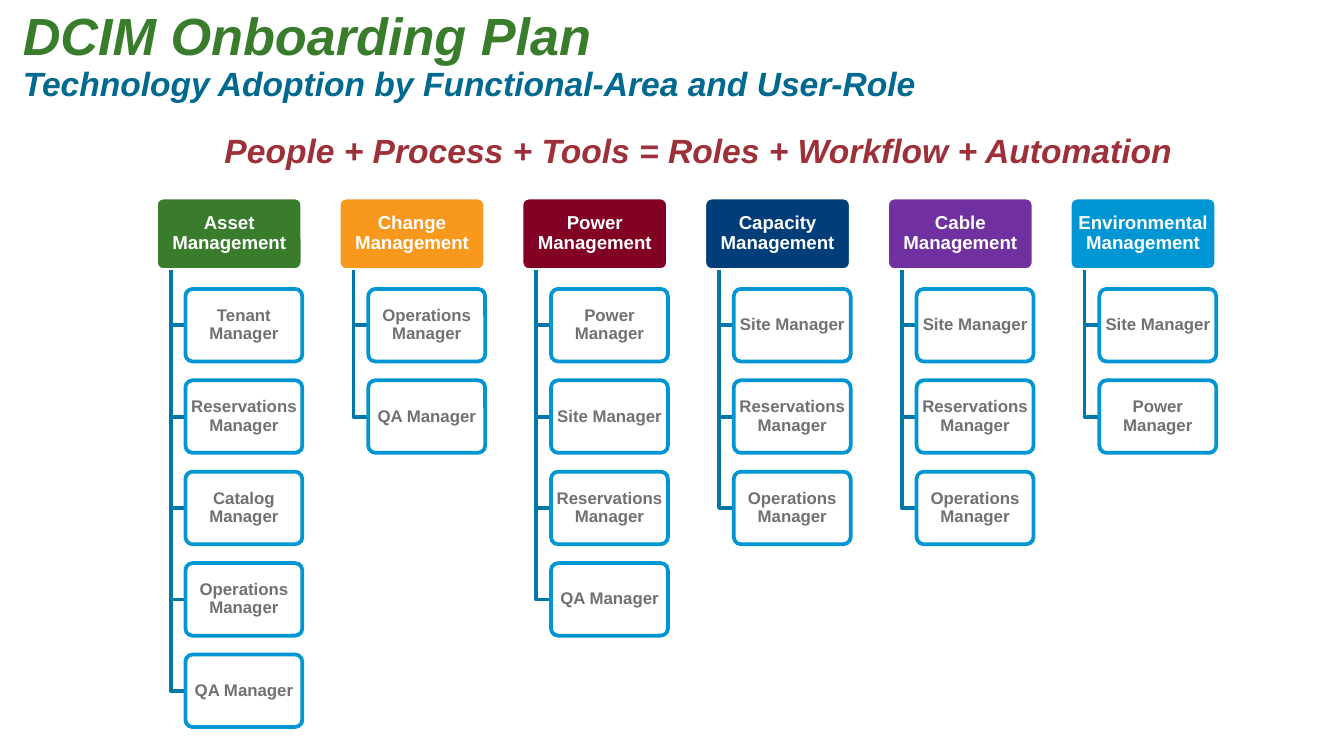
"""Build the onboarding plan slide: functional areas with their user roles."""
from lxml import etree
from pptx import Presentation
from pptx.dml.color import RGBColor
from pptx.enum.shapes import MSO_SHAPE
from pptx.enum.text import MSO_ANCHOR, PP_ALIGN
from pptx.oxml.ns import qn
from pptx.util import Inches, Pt

ROUND = MSO_SHAPE.ROUNDED_RECTANGLE
MIDDLE, BOTTOM = MSO_ANCHOR.MIDDLE, MSO_ANCHOR.BOTTOM
LEFT, CENTER = PP_ALIGN.LEFT, PP_ALIGN.CENTER
WHITE, GREEN, BLUE = "FFFFFF", "387C2C", "0095D3"
WIDE, HIGH, STEP, PITCH = 10, 0.54, 0.68, 1.36
TOP, FIRST = 1.47, 2.15

AREAS = [
    ("Asset", GREEN, ["Tenant", "Reservations", "Catalog", "Operations", "QA"]),
    ("Change", "F8981D", ["Operations", "QA"]),
    ("Power", "820024", ["Power", "Site", "Reservations", "QA"]),
    ("Capacity", "003D79", ["Site", "Reservations", "Operations"]),
    ("Cable", "7030A0", ["Site", "Reservations", "Operations"]),
    ("Environmental", BLUE, ["Site", "Power"]),
]


def write(shape, runs, align, anchor, pad=(0, 0), italic=False):
    frame = shape.text_frame
    frame.word_wrap = True
    frame.vertical_anchor = anchor
    frame.margin_left = frame.margin_right = Inches(pad[0])
    frame.margin_top = frame.margin_bottom = Inches(pad[1])
    para = frame.paragraphs[0]
    para.alignment = align
    para.line_spacing = 0.9
    for i, (text, size, color) in enumerate(runs):
        if i:
            para.add_line_break()
        run = para.add_run()
        run.text = text
        run.font.name = "Arial"
        run.font.size = Pt(size)
        run.font.bold = True
        run.font.italic = italic
        run.font.color.rgb = RGBColor.from_string(color)


def add_box(x, y, width, fill, line, text, size, color):
    box = shapes.add_shape(ROUND, Inches(x), Inches(y), Inches(width), Inches(HIGH))
    box.adjustments[0] = 0.1
    box.shadow.inherit = False
    box.fill.solid()
    box.fill.fore_color.rgb = RGBColor.from_string(fill)
    box.line.color.rgb = RGBColor.from_string(line)
    box.line.width = Pt(2)
    write(box, [(text, size, color)], CENTER, MIDDLE, (0.02, 0.01))
    return box


deck = Presentation()
deck.slide_width, deck.slide_height = Inches(WIDE), Inches(WIDE * 9 / 16)
shapes = deck.slides.add_slide(deck.slide_layouts[6]).shapes

title = shapes.add_textbox(Inches(0.17), Inches(0.06), Inches(9), Inches(0.71))
write(title, [
    ("DCIM Onboarding Plan", 28, GREEN),
    ("Technology Adoption by Functional-Area and User-Role", 18, "006990"),
], LEFT, BOTTOM, italic=True)

for col, (area, color, roles) in enumerate(AREAS):
    x = 1.16 + col * PITCH
    add_box(x, TOP, 1.09, color, WHITE, f"{area} Management", 10, WHITE)
    stem, edge = Inches(x + 0.11), Inches(x + 0.22)
    for row, role in enumerate(roles):
        y = FIRST + row * STEP
        mid = Inches(y + HIGH / 2)
        trace = shapes.build_freeform(stem, Inches(TOP + HIGH))
        trace.add_line_segments([(stem, mid), (edge, mid)], close=False)
        elbow = trace.convert_to_shape()
        elbow.shadow.inherit = False
        elbow.fill.background()
        elbow.line.color.rgb = RGBColor.from_string("0077A9")
        elbow.line.width = Pt(2)
        box = add_box(x + 0.22, y, 0.87, WHITE, BLUE, f"{role} Manager", 9, "717074")
        tint = box.element.spPr.find(qn("a:solidFill"))[0]
        etree.SubElement(tint, qn("a:alpha"), val="90000")

motto = shapes.add_textbox(Inches(1.67), Inches(0.96), Inches(7.75), Inches(0.31))
write(motto, [
    ("People + Process + Tools = Roles + Workflow + Automation", 18, "9E3039"),
], LEFT, BOTTOM, italic=True)

deck.save("out.pptx")
